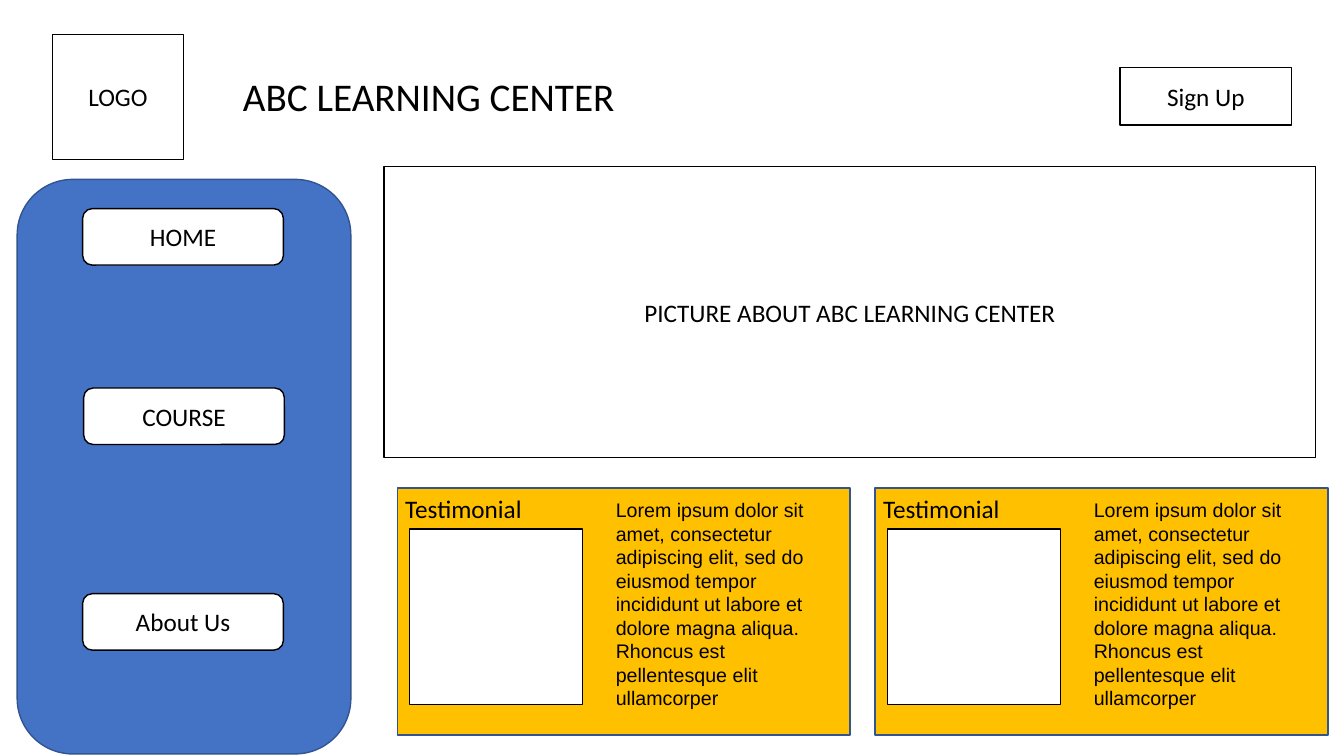
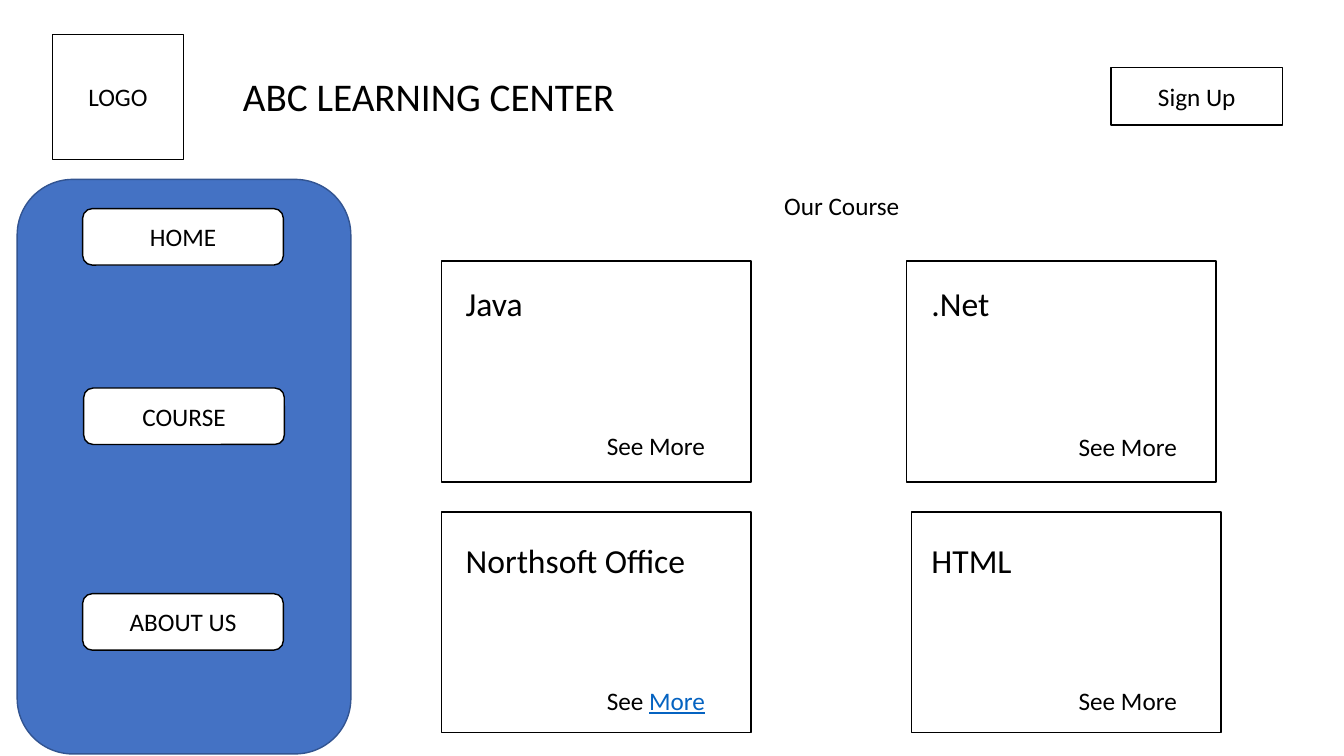
from pptx import Presentation
from pptx.dml.color import RGBColor
from pptx.enum.shapes import MSO_SHAPE
from pptx.enum.text import MSO_ANCHOR, MSO_AUTO_SIZE, PP_ALIGN
from pptx.util import Emu, Pt

PX = 9144  # EMU per px, 100 px to the inch
COLORS = {
    "white": "FFFFFF",
    "black": "000000",
    "blue": "4472C4",
    "edge": "325491",
    "amber": "FFC000",
    "link": "0563C1",
}
LOREM = (
    "Lorem ipsum dolor sit amet, consectetur adipiscing elit, sed do eiusmod "
    "tempor incididunt ut labore et dolore magna aliqua.",
    "Rhoncus est pellentesque elit ullamcorper",
)


def px(*lengths):
    return [Emu(n * PX) for n in lengths]


def rgb(name):
    return RGBColor.from_string(COLORS[name])


def write(tf, *paragraphs, size=18, font="Calibri", align=PP_ALIGN.LEFT,
          anchor=MSO_ANCHOR.TOP, wrap=True):
    """Fill a text frame; a paragraph is a string or a list of (text, color, underline)."""
    tf.word_wrap = wrap
    tf.auto_size = MSO_AUTO_SIZE.NONE
    tf.vertical_anchor = anchor
    for i, runs in enumerate(paragraphs):
        p = tf.paragraphs[0] if i == 0 else tf.add_paragraph()
        p.alignment = align
        if isinstance(runs, str):
            runs = [(runs, "black", False)]
        for text, color, underline in runs:
            r = p.add_run()
            r.text = text
            r.font.name = font
            r.font.size = Pt(size)
            r.font.underline = underline
            r.font.color.rgb = rgb(color)


class Wireframe:
    """Page style and the slide being built."""

    def __init__(self):
        self.prs = Presentation()
        self.prs.slide_width, self.prs.slide_height = px(1333, 750)
        self.slide = None

    def page(self, about, sign_up_left):
        """Start a slide with the header and the navigation panel."""
        self.slide = self.prs.slides.add_slide(self.prs.slide_layouts[5])
        title = self.slide.shapes.title
        title.left, title.top, title.width, title.height = px(231, 67, 414, 57)
        write(title.text_frame, "ABC LEARNING CENTER", size=28)
        self.box(52, 34, 130, 124, "LOGO")
        self.box(sign_up_left, 67, 170, 57, "Sign Up")
        self.box(17, 178, 331, 570, fill="blue", line="edge", rounded=True)
        for left, top, label in ((82, 207, "HOME"), (83, 385, "COURSE"), (82, 589, about)):
            self.box(left, top, 199, 56, label, rounded=True)

    def box(self, left, top, width, height, label=None, fill="white", line="black",
            rounded=False):
        kind = MSO_SHAPE.ROUNDED_RECTANGLE if rounded else MSO_SHAPE.RECTANGLE
        sp = self.slide.shapes.add_shape(kind, *px(left, top, width, height))
        sp.shadow.inherit = False
        sp.fill.solid()
        sp.fill.fore_color.rgb = rgb(fill)
        sp.line.color.rgb = rgb(line)
        sp.line.width = Pt(1)
        if label:
            write(sp.text_frame, label, align=PP_ALIGN.CENTER, anchor=MSO_ANCHOR.MIDDLE)

    def text(self, left, top, width, height, *paragraphs, **style):
        sp = self.slide.shapes.add_textbox(*px(left, top, width, height))
        write(sp.text_frame, *paragraphs, **style)

    def testimonial(self, left, top):
        self.box(left, top, 449, 245, fill="amber", line="edge")
        self.text(left - 2, top, 137, 40, "Testimonial", wrap=False)
        self.box(left + 12, top + 41, 172, 174)
        self.text(left + 207, top + 5, 224, 199, *LOREM, size=14, font="Arial")

    def course(self, card, name, name_at, name_width, more_at, more="See More"):
        self.box(*card, 307, 219)
        self.text(*name_at, name_width, 50, name, size=24, wrap=False)
        self.text(*more_at, 119, 40, more, wrap=False)


def main():
    w = Wireframe()

    w.page("About Us", sign_up_left=1111)
    w.box(381, 165, 924, 289, "PICTURE ABOUT ABC LEARNING CENTER")
    for left in (394, 868):
        w.testimonial(left, 484)

    w.page("ABOUT US", sign_up_left=1102)
    w.text(768, 184, 136, 40, "Our Course", wrap=False)
    see_link = [("See ", "black", False), ("More", "link", True)]
    w.course((438, 259), "Java", (452, 276), 78, (592, 422))
    w.course((899, 259), ".Net", (914, 276), 78, (1060, 423))
    w.course((438, 508), "Northsoft Office", (452, 531), 241, (592, 675), see_link)
    w.course((904, 508), "HTML", (914, 531), 101, (1060, 675))

    w.prs.save("out.pptx")


if __name__ == "__main__":
    main()
